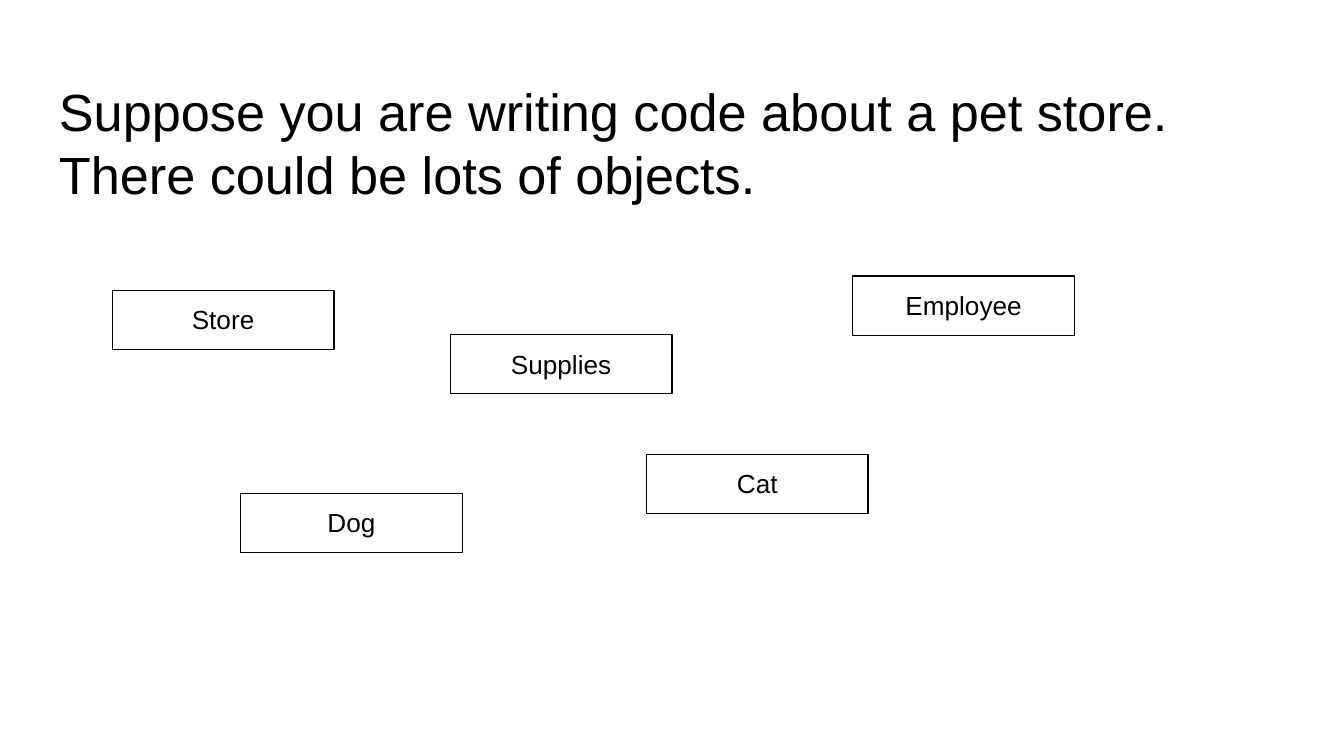
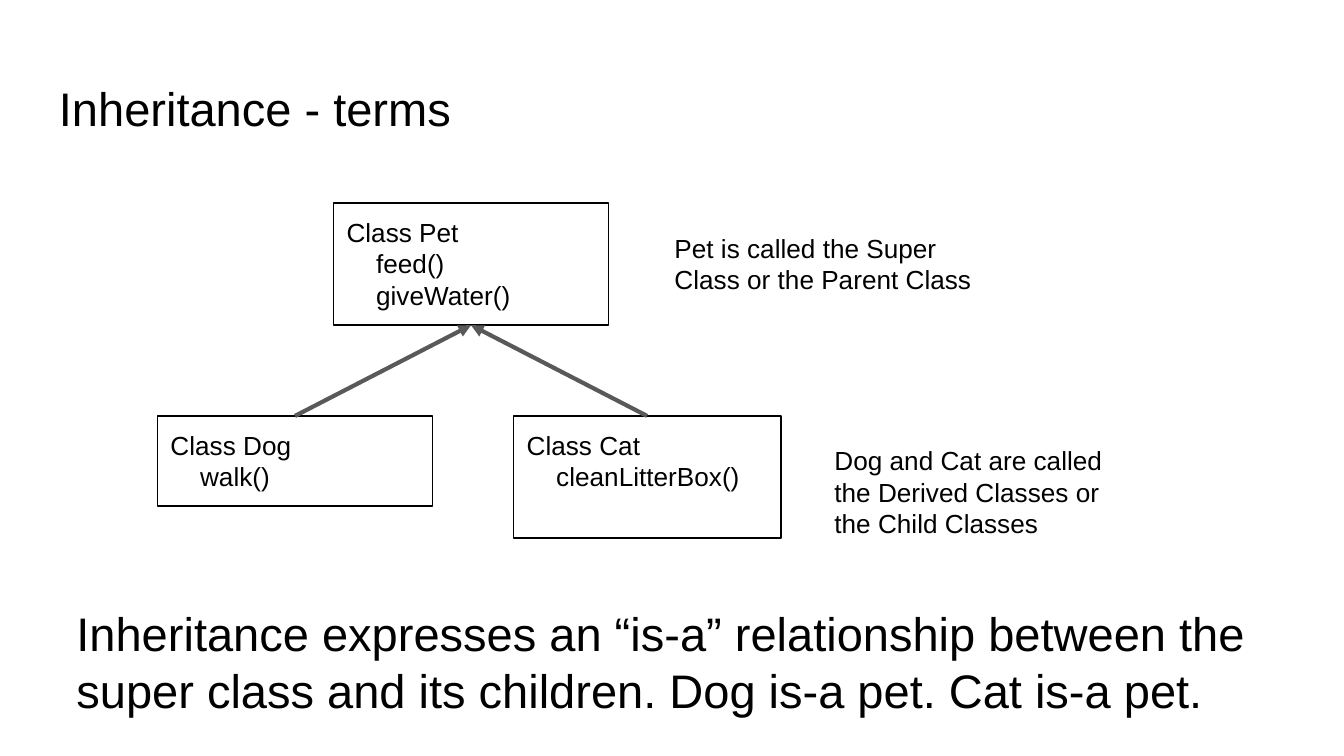
import pptx
import pptx.dml.color
import pptx.enum.shapes
import pptx.enum.text
import pptx.oxml
import pptx.oxml.ns
import pptx.util

BLACK = pptx.dml.color.RGBColor(0x00, 0x00, 0x00)
ARROW_GRAY = pptx.dml.color.RGBColor(0x59, 0x59, 0x59)
FONT = "Arial"
SLIDE_WIDTH = pptx.util.Inches(10)
SLIDE_HEIGHT = pptx.util.Emu(SLIDE_WIDTH * 9 // 16)
CELL = SLIDE_WIDTH / 100
INSET = pptx.util.Inches(0.1)
METHOD_INDENT = pptx.util.Inches(0.22)
BODY_SIZE = 14
TERMS_TITLE_SIZE = 25.2
TITLE_LEFT, TITLE_TOP, TITLE_WIDTH = 3.4, 4.9, 93.2
LEFT = pptx.enum.text.PP_ALIGN.LEFT
CENTER = pptx.enum.text.PP_ALIGN.CENTER


def grid(*cells):
    return [pptx.util.Emu(round(cell * CELL)) for cell in cells]


def write(holder, lines, size, align=LEFT):
    frame = holder.text_frame
    frame.word_wrap = True
    frame.vertical_anchor = pptx.enum.text.MSO_ANCHOR.TOP
    frame.margin_left = frame.margin_right = INSET
    frame.margin_top = frame.margin_bottom = INSET
    for index, line in enumerate(lines):
        paragraph = frame.add_paragraph() if index else frame.paragraphs[0]
        paragraph.alignment = align
        run = paragraph.add_run()
        run.text = line
        run.font.name = FONT
        run.font.size = pptx.util.Pt(size)
        run.font.color.rgb = BLACK


def add_text(slide, area, lines, size=BODY_SIZE):
    write(slide.shapes.add_textbox(*grid(*area)), lines, size)


def add_title(slide, lines, size, height, left=TITLE_LEFT, top=TITLE_TOP):
    add_text(slide, (left, top, TITLE_WIDTH, height), lines, size)


def add_box(slide, area, lines, align=LEFT):
    box = slide.shapes.add_shape(
        pptx.enum.shapes.MSO_SHAPE.RECTANGLE, *grid(*area))
    box.shadow.inherit = False
    box.fill.background()
    box.line.color.rgb = BLACK
    box.line.width = pptx.util.Pt(0.75)
    write(box, lines, BODY_SIZE, align)
    return box


def add_class_box(slide, area, class_name, methods):
    box = add_box(slide, area, [f"Class {class_name}", *methods])
    for method in box.text_frame.paragraphs[1:]:
        method._p.get_or_add_pPr().set("marL", str(METHOD_INDENT))
    return box


def add_inheritance_arrow(slide, child, parent):
    arrow = slide.shapes.add_connector(
        pptx.enum.shapes.MSO_CONNECTOR.STRAIGHT, 0, 0, 0, 0)
    arrow.begin_connect(child, 0)
    arrow.end_connect(parent, 2)
    arrow.line.color.rgb = ARROW_GRAY
    arrow.line.width = pptx.util.Pt(2.25)
    head = pptx.oxml.parse_xml(
        f'<a:tailEnd {pptx.oxml.ns.nsdecls("a")} type="triangle"/>')
    arrow.line._get_or_add_ln().append(head)
    arrow._element.spPr.append(pptx.oxml.parse_xml(
        f'<a:effectLst {pptx.oxml.ns.nsdecls("a")}/>'))


def build_objects_slide(slide):
    add_title(slide, ["Suppose you are writing code about a pet store.",
                      "There could be lots of objects."], 28, 16.2)
    pet_store_objects = {
        "Store": (8.35, 21.6),
        "Supplies": (33.5, 24.9),
        "Dog": (17.9, 36.7),
        "Cat": (48.1, 33.8),
        "Employee": (63.45, 20.55),
    }
    for label, corner in pet_store_objects.items():
        add_box(slide, (*corner, 16.5, 4.4), [label], CENTER)


def build_terms_slide(slide):
    add_title(slide, ["Inheritance - terms"], TERMS_TITLE_SIZE, 6.3)
    dog = add_class_box(slide, (11.7, 30.95, 20.5, 6.7), "Dog", ["walk()"])
    pet = add_class_box(slide, (24.8, 15.1, 20.5, 9.1), "Pet",
                        ["feed()", "giveWater()"])
    cat = add_class_box(slide, (38.2, 30.95, 19.9, 9.1), "Cat",
                        ["cleanLitterBox()"])
    for child in (dog, cat):
        add_inheritance_arrow(slide, child, pet)
    add_text(slide, (49.2, 16.3, 24.5, 6.7),
             ["Pet is called the Super Class or the Parent Class"])
    add_text(slide, (61.1, 32.1, 24.5, 9.1),
             ["Dog and Cat are called the Derived Classes or the Child Classes"])
    add_title(slide, ["Inheritance expresses an “is-a” relationship between the "
                      "super class and its children. Dog is-a pet. Cat is-a pet."],
              TERMS_TITLE_SIZE, 6.3, left=4.7, top=44)


def main():
    deck = pptx.Presentation()
    deck.slide_width = SLIDE_WIDTH
    deck.slide_height = SLIDE_HEIGHT
    for build in (build_objects_slide, build_terms_slide):
        build(deck.slides.add_slide(deck.slide_layouts[6]))
    deck.save("out.pptx")


if __name__ == "__main__":
    main()
